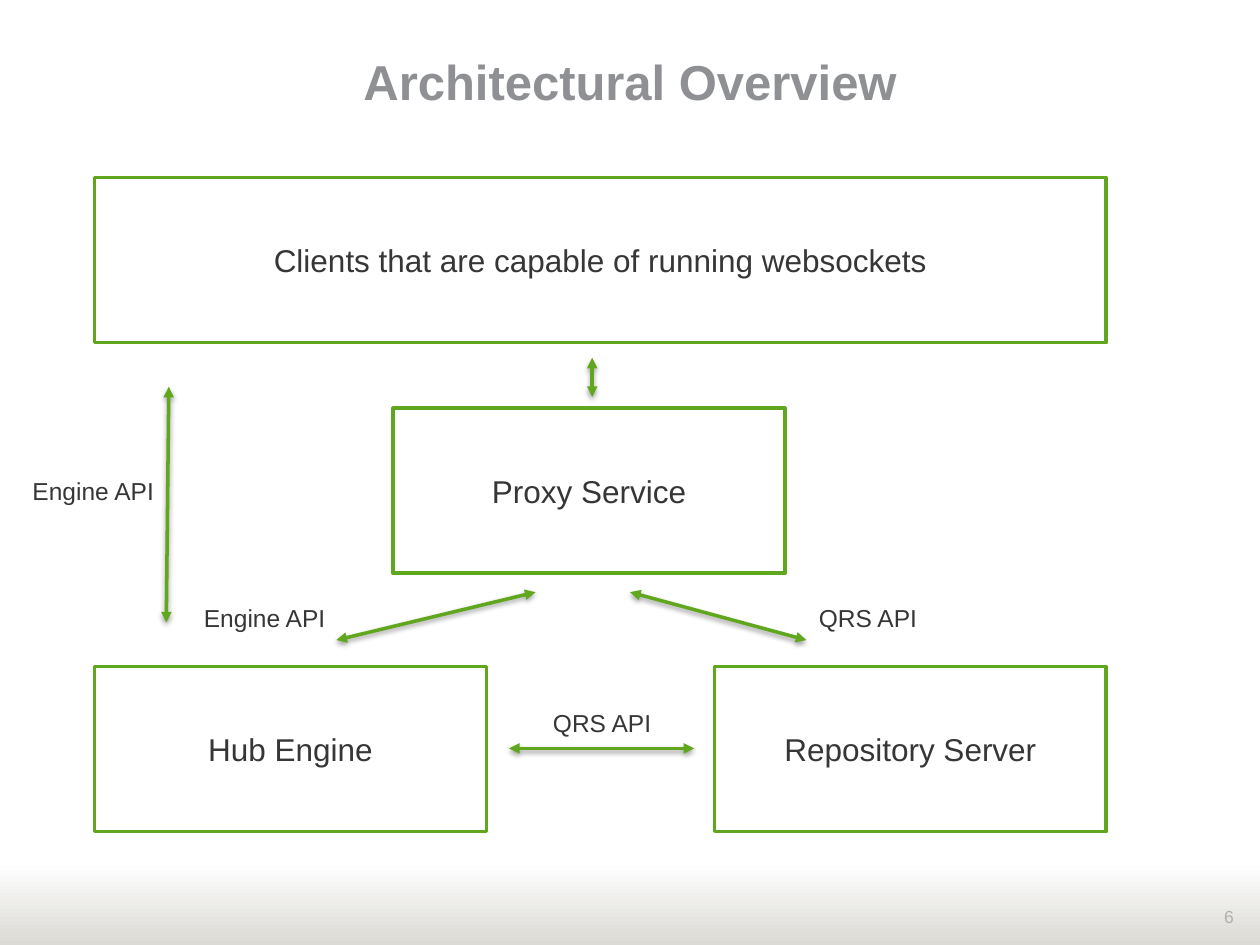
from dataclasses import dataclass

from lxml import etree
from pptx import Presentation
from pptx import util as u
from pptx.dml.color import RGBColor as Rgb
from pptx.enum import shapes, text
from pptx.oxml import parse_xml
from pptx.oxml.ns import nsdecls, qn


@dataclass
class Theme:
    font: str = "Arial"
    green: str = "61A71E"
    ink: str = "363636"
    head: str = "8E9093"
    pale: str = "AFAFAF"
    white: str = "FFFFFF"
    sand: str = "DBDAD5"
    title: int = 28
    body: int = 18
    label: int = 14
    small: int = 10
    line: int = 2


SHADOW = (
    f'<a:effectLst {nsdecls("a")}>'
    '<a:outerShdw blurRad="39370" dist="20320" dir="5400000" rotWithShape="0">'
    '<a:srgbClr val="000000"><a:alpha val="38000"/></a:srgbClr>'
    '</a:outerShdw></a:effectLst>'
)


class Sketch:
    """Draws on a grid of 100 columns by 75 rows."""

    def __init__(self, deck, theme):
        self.theme = theme
        self.unit = deck.slide_width / 100
        self.slide = deck.slides.add_slide(deck.slide_layouts[6])

    def grid(self, *cells):
        return [u.Emu(round(c * self.unit)) for c in cells]

    def letter(self, frame, words, size, color, align, bold=False):
        frame.text = words
        para = frame.paragraphs[0]
        para.alignment = align
        font = para.runs[0].font
        font.name, font.size, font.bold = self.theme.font, u.Pt(size), bold
        font.color.rgb = Rgb.from_string(color)

    def rect(self, *area):
        shape = self.slide.shapes.add_shape(
            shapes.MSO_SHAPE.RECTANGLE, *self.grid(*area))
        shape.shadow.inherit = False
        return shape

    def fade(self, *area):
        shape = self.rect(*area)
        shape.line.fill.background()
        shape.fill.gradient()
        shape.fill.gradient_angle = 270
        tones = (self.theme.white, self.theme.sand)
        for stop, tone in zip(shape.fill.gradient_stops, tones):
            stop.color.rgb = Rgb.from_string(tone)

    def box(self, words, *area):
        look = self.theme
        shape = self.rect(*area)
        shape.fill.solid()
        shape.fill.fore_color.rgb = Rgb.from_string(look.white)
        shape.line.color.rgb = Rgb.from_string(look.green)
        shape.line.width = u.Pt(look.line)
        shape.text_frame.vertical_anchor = text.MSO_ANCHOR.MIDDLE
        self.letter(shape.text_frame, words, look.body, look.ink,
                    text.PP_ALIGN.CENTER)

    def note(self, words, area, size, color, align=text.PP_ALIGN.LEFT,
             wrap=True, bold=False, inset=True):
        frame = self.slide.shapes.add_textbox(*self.grid(*area)).text_frame
        frame.word_wrap = wrap
        if not inset:
            frame.margin_left = frame.margin_right = 0
            frame.margin_top = frame.margin_bottom = 0
        self.letter(frame, words, size, color, align, bold)

    def label(self, words, left, top, width):
        self.note(words, (left, top, width, 3.4), self.theme.label,
                  self.theme.ink, wrap=False)

    def arrow(self, *ends):
        link = self.slide.shapes.add_connector(
            shapes.MSO_CONNECTOR.STRAIGHT, *self.grid(*ends))
        link.line.color.rgb = Rgb.from_string(self.theme.green)
        link.line.width = u.Pt(self.theme.line)
        props = link._element.spPr
        stroke = props.find(qn("a:ln"))
        for end in ("a:headEnd", "a:tailEnd"):
            etree.SubElement(stroke, qn(end), type="triangle")
        props.append(parse_xml(SHADOW))


def main():
    deck = Presentation()
    deck.slide_width, deck.slide_height = u.Inches(10), u.Inches(7.5)
    look = Theme()
    art = Sketch(deck, look)

    # Footer band and page number
    art.fade(0, 68.4, 100, 6.6)
    art.note("6", (89.9, 71.4, 9, 2.7), look.small, look.pale,
             text.PP_ALIGN.RIGHT)

    # Title
    art.note("Architectural Overview", (0, 4.1, 100, 4.7), look.title,
             look.head, text.PP_ALIGN.CENTER, bold=True, inset=False)

    # Services
    left, right, wide, high = 7.5, 87.8, 31.1, 13.1
    low = 52.9
    art.box("Hub Engine", left, low, wide, high)
    art.box("Repository Server", right - wide, low, wide, high)
    art.box("Proxy Service", 31.2, 32.4, wide, high)
    art.box("Clients that are capable of running websockets",
            left, 14.1, right - left, high)

    # Links between services
    for ends in ((40.4, 59.4, 55.1, 59.4), (42.5, 47, 26.7, 50.8),
                 (64, 50.8, 50, 47), (13.2, 49.4, 13.4, 30.7),
                 (47, 28.4, 47, 31.5)):
        art.arrow(*ends)

    # Interface names
    for words, x, y, width in (("QRS API", 42.9, 55.7, 9.9),
                               ("QRS API", 64, 47.4, 9.9),
                               ("Engine API", 15.2, 47.4, 11.7),
                               ("Engine API", 1.6, 37.3, 11.7)):
        art.label(words, x, y, width)

    deck.save("out.pptx")


if __name__ == "__main__":
    main()
